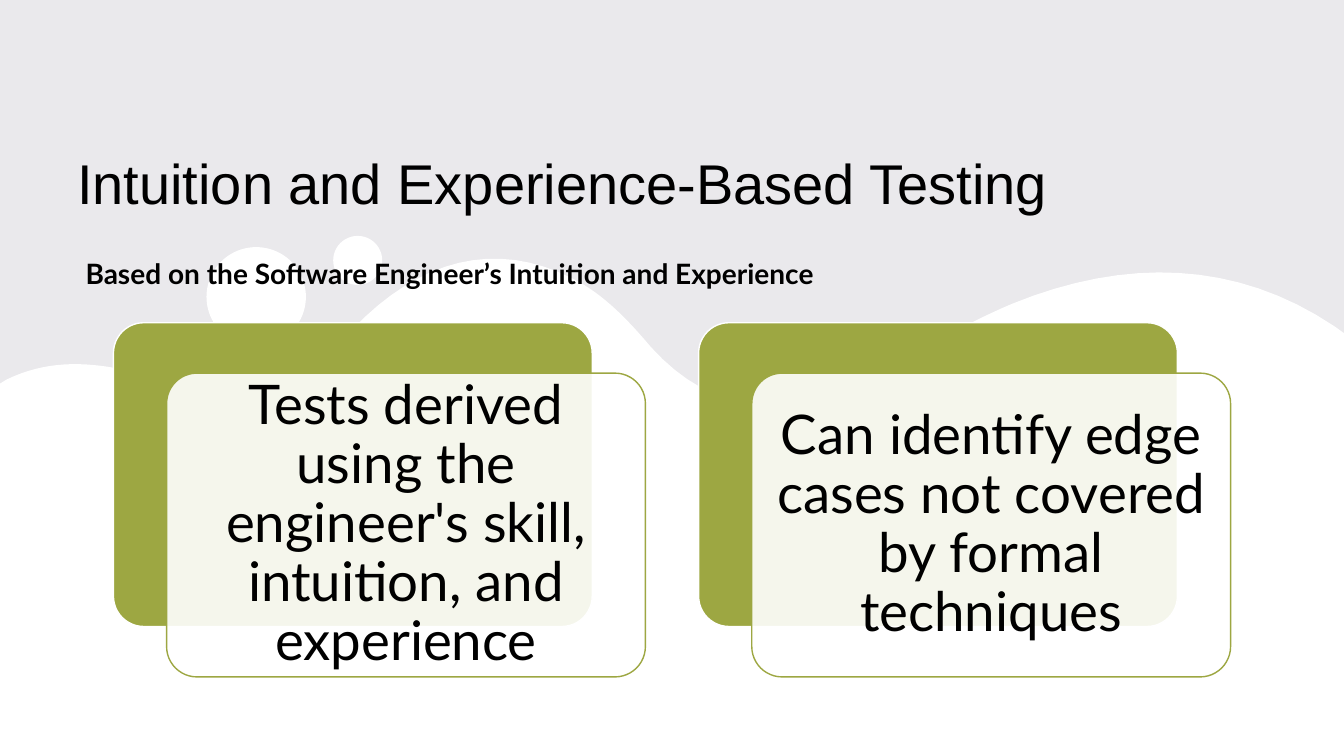
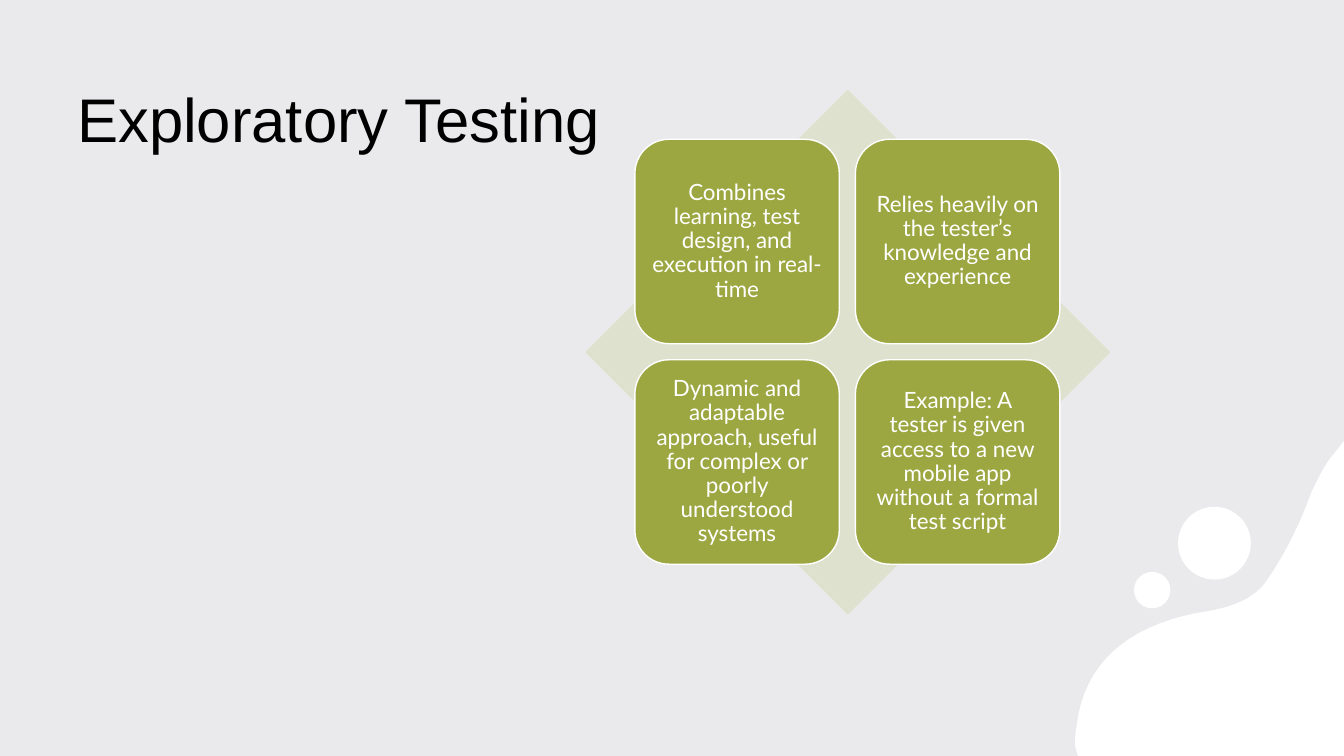
from pptx import Presentation
from pptx.dml.color import RGBColor
from pptx.enum.shapes import MSO_SHAPE as Kind
from pptx.enum.text import MSO_ANCHOR as Anchor, MSO_AUTO_SIZE as Auto, PP_ALIGN as Align
from pptx.oxml.ns import qn
from pptx.oxml.xmlchemy import OxmlElement as Node
from pptx.util import Pt

GREY = RGBColor(0xEA, 0xE9, 0xEC)
WHITE = RGBColor(0xFF, 0xFF, 0xFF)
BLACK = RGBColor(0x00, 0x00, 0x00)
OLIVE = RGBColor(0x9D, 0xA7, 0x42)
PALE = RGBColor(0xDF, 0xE1, 0xCF)
HEAD, BODY = "Arial", "Lato"
WIDE, HIGH = 960, 540
STEPS = 16

HILLS = [
    (0, 274), (5, 271),
    (32, 258, 59, 258, 88, 264), (119, 271, 151, 276, 183, 276),
    (212, 276, 233, 254, 252, 235), (300, 185, 354, 171, 409, 199),
    (431, 210, 449, 229, 465, 248), (509, 297, 563, 299, 614, 273),
    (650, 255, 685, 233, 723, 217), (804, 184, 883, 186, 953, 233),
    (WIDE, 238), (WIDE, HIGH), (0, HIGH),
]
CORNER = [
    (770, HIGH), (768, 533),
    (768, 528, 768, 523, 769, 519), (774, 474, 805, 448, 854, 438),
    (873, 435, 895, 431, 906, 413), (919, 394, 929, 373, 937, 351),
    (942, 341, 946, 332, 953, 324),
    (WIDE, 315), (WIDE, HIGH),
]
CLAIMS = [
    "Tests derived using the engineer's skill, intuition, and experience",
    "Can identify edge cases not covered by formal techniques",
]
TRAITS = [
    "Combines learning, test design, and execution in real-time",
    "Relies heavily on the tester’s knowledge and experience",
    "Dynamic and adaptable approach, useful for complex or poorly understood systems",
    "Example: A tester is given access to a new mobile app without a formal test script",
]


def trace(path):
    """Turn straight and cubic steps into a list of points."""
    spots = [path[0]]
    for step in path[1:]:
        if len(step) == 2:
            spots.append(step)
            continue
        ends = [spots[-1], step[:2], step[2:4], step[4:]]
        for i in range(1, STEPS + 1):
            t = i / STEPS
            u = 1 - t
            mix = (u**3, 3 * u * u * t, 3 * u * t * t, t**3)
            spots.append(tuple(sum(m * p[k] for m, p in zip(mix, ends)) for k in (0, 1)))
    return [(Pt(x), Pt(y)) for x, y in spots]


class Deck:
    """Hold the shared style and the current slide."""

    def __init__(self):
        """Set the page size and the background."""
        self.file = Presentation()
        self.file.slide_width, self.file.slide_height = Pt(WIDE), Pt(HIGH)
        back = self.file.slide_master.background.fill
        back.solid()
        back.fore_color.rgb = GREY
        self.slide = None

    def page(self, wave, drops):
        """Start a slide with a white wave and its drops."""
        self.slide = self.file.slides.add_slide(self.file.slide_layouts[5])
        spots = trace(wave)
        pen = self.slide.shapes.build_freeform(*spots[0], scale=1.0)
        pen.add_line_segments(spots[1:], close=True)
        self.paint(pen.convert_to_shape(), WHITE)
        for x, y, r in drops:
            self.shape(Kind.OVAL, (x - r, y - r, 2 * r, 2 * r), WHITE)

    def paint(self, shape, fill, line=None, alpha=None):
        """Fill and outline a shape without a shadow."""
        shape.shadow.inherit = False
        shape.fill.solid()
        shape.fill.fore_color.rgb = fill
        if alpha:
            node = Node("a:alpha")
            node.set("val", str(alpha * 1000))
            shape._element.spPr.find(".//" + qn("a:srgbClr")).append(node)
        if line is None:
            shape.line.fill.background()
        else:
            shape.line.color.rgb = line
            shape.line.width = Pt(1)

    def shape(self, kind, box, fill, line=None, alpha=None, curve=None):
        """Add a preset shape."""
        shape = self.slide.shapes.add_shape(kind, *map(Pt, box))
        if curve:
            shape.adjustments[0] = curve
        self.paint(shape, fill, line, alpha)
        return shape

    def style(self, frame, text, font, size, ink, align=Align.LEFT, bold=False):
        """Put one styled paragraph in a frame."""
        frame.text = text
        frame.word_wrap = True
        frame.auto_size = Auto.NONE
        para = frame.paragraphs[0]
        para.alignment = align
        face = para.runs[0].font
        face.name, face.size, face.bold = font, Pt(size), bold
        face.color.rgb = ink

    def title(self, text, box, size):
        """Place and style the title."""
        head = self.slide.shapes.title
        head.left, head.top, head.width, head.height = map(Pt, box)
        self.style(head.text_frame, text, HEAD, size, BLACK)
        head.text_frame.vertical_anchor = Anchor.BOTTOM

    def note(self, text, box):
        """Add a bold line of text."""
        area = self.slide.shapes.add_textbox(*map(Pt, box))
        self.style(area.text_frame, text, BODY, 20, BLACK, bold=True)

    def label(self, shape, text, size, ink, pad):
        """Centre text inside a shape."""
        frame = shape.text_frame
        self.style(frame, text, BODY, size, ink, Align.CENTER)
        frame.paragraphs[0].line_spacing = 0.9
        frame.vertical_anchor = Anchor.MIDDLE
        frame.margin_left = frame.margin_right = Pt(pad)
        frame.margin_top = frame.margin_bottom = Pt(pad)

    def card(self, text, x, y, w, h):
        """Add a clear card over an olive one."""
        self.shape(Kind.ROUNDED_RECTANGLE, (x, y, w, h), OLIVE, WHITE, curve=0.1)
        box = (x + 38, y + 36, w, h)
        front = self.shape(Kind.ROUNDED_RECTANGLE, box, WHITE, OLIVE, 90, 0.1)
        self.label(front, text, 39, BLACK, 11.5)

    def tile(self, text, x, y, side):
        """Add a square olive tile."""
        tile = self.shape(Kind.ROUNDED_RECTANGLE, (x, y, side, side), OLIVE, WHITE)
        self.label(tile, text, 16, WHITE, 5)


def main():
    """Build both slides."""
    deck = Deck()

    deck.page(HILLS, [(255.5, 186, 17.5), (183, 212, 35.5)])
    deck.title("Intuition and Experience-Based Testing", (48, 44, 864, 114), 40)
    for i, text in enumerate(CLAIMS):
        deck.card(text, 81 + 418 * i, 230.5, 342, 217)
    deck.note("Based on the Software Engineer’s Intuition and Experience", (54, 180, 766, 31.5))

    deck.page(CORNER, [(867.5, 388, 26), (823, 421.5, 13)])
    deck.title("Exploratory Testing", (48, 64, 421, 50), 44)
    deck.shape(Kind.DIAMOND, (418, 64, 375, 375), PALE)
    for i, text in enumerate(TRAITS):
        row, col = divmod(i, 2)
        deck.tile(text, 453.5 + 157.5 * col, 99.5 + 157.5 * row, 146)

    deck.file.save("out.pptx")


if __name__ == "__main__":
    main()
